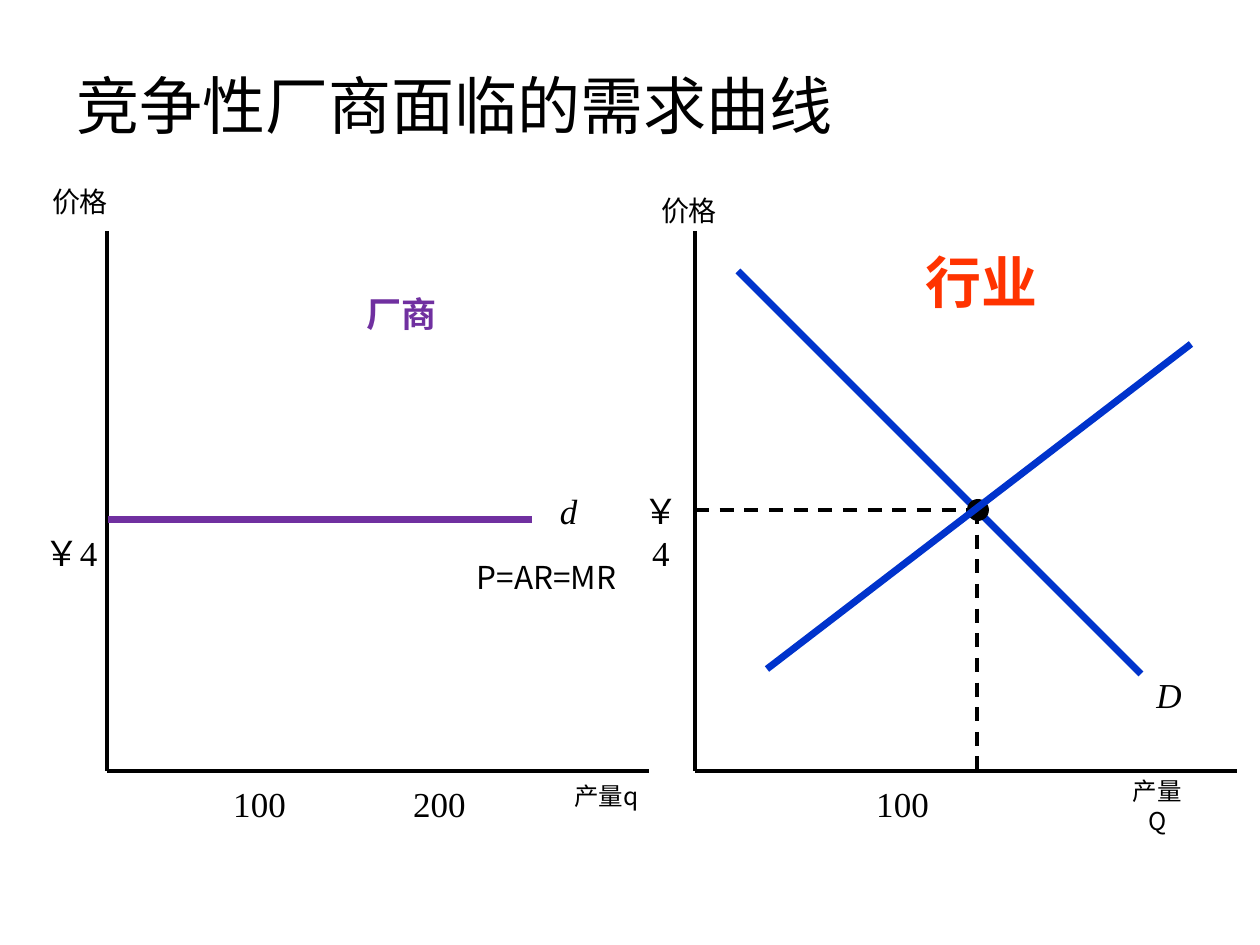
from pptx import Presentation
from pptx.dml.color import RGBColor
from pptx.enum.dml import MSO_LINE
from pptx.enum.shapes import MSO_CONNECTOR, MSO_SHAPE
from pptx.enum.text import MSO_ANCHOR, PP_ALIGN
from pptx.oxml.ns import qn
from pptx.util import Pt
from lxml.etree import SubElement

EMU_PER_PX = 914400 / 126
SANS, SERIF = "Noto Sans CJK SC", "Times New Roman"
BLACK, PURPLE, RED, BLUE = "000000", "7030A0", "FF3300", "0033CC"

TITLE = "竞争性厂商面临的需求曲线"
AXIS_TOP, AXIS_BOTTOM, AXIS_LENGTH = 231, 771, 542
FIRM_X, INDUSTRY_X = 107, 695
EQUILIBRIUM_X, EQUILIBRIUM_Y, DOT = 977, 510, 22

# text, (left, top, width, height), format
AXIS_TITLES = [
    ("产量q", (534, 775, 145, 42), dict(size=14)),
    ("价格", (25, 178, 110, 47), dict(size=16)),
    ("价格", (648, 187, 82, 45), dict(size=16)),
    ("产量Q", (1114, 770, 87, 42), dict(size=14)),
]
NUMBERS = [
    ("￥4", (25, 525, 92, 54), dict(wrap=False)),
    ("￥4", (624, 483, 74, 54), {}),
    ("100", (218, 776, 83, 54), {}),
    ("200", (398, 776, 83, 54), {}),
    ("100", (861, 776, 83, 54), {}),
]
CURVE_LABELS = [
    ("d", (545, 483, 47, 54), dict(font=SERIF, italic=True)),
    ("D", (1144, 667, 50, 54), dict(font=SERIF, italic=True)),
    ("P=AR=MR", (443, 552, 207, 50), dict(size=18)),
]
HEADINGS = [
    ("厂商", (354, 286, 96, 54), dict(color=PURPLE)),
    ("行业", (912, 241, 140, 81), dict(size=32, color=RED)),
]

# start, end, colour, width in points
FIRM_DEMAND = ((108, 520), (532, 520), PURPLE, 4)
INDUSTRY_DEMAND = ((738, 271), (1141, 674), BLUE, 4)
INDUSTRY_SUPPLY = ((767, 669), (1191, 344), BLUE, 4)


def px(length):
    return round(length * EMU_PER_PX)


def rgb(color):
    return RGBColor.from_string(color)


def add_text(text, box, size=20, font=SANS, color=BLACK, bold=False,
             italic=False, align=PP_ALIGN.CENTER, anchor=MSO_ANCHOR.TOP,
             wrap=True):
    frame = slide.shapes.add_textbox(*map(px, box)).text_frame
    frame.word_wrap = wrap
    frame.vertical_anchor = anchor
    paragraph = frame.paragraphs[0]
    paragraph.alignment = align
    run = paragraph.add_run()
    run.text = text
    run.font.size = Pt(size)
    run.font.name = font
    run.font.bold = bold
    run.font.italic = italic
    run.font.color.rgb = rgb(color)
    SubElement(run.font._element, qn("a:ea"), typeface=SANS)


def add_line(start, end, color=BLACK, width=2, dashed=False):
    line = slide.shapes.add_connector(
        MSO_CONNECTOR.STRAIGHT, *map(px, start + end))
    line.line.color.rgb = rgb(color)
    line.line.width = Pt(width)
    if dashed:
        line.line.dash_style = MSO_LINE.DASH
    SubElement(line._element.spPr, qn("a:effectLst"))


prs = Presentation()
prs.slide_width, prs.slide_height = px(1260), px(945)
slide = prs.slides.add_slide(prs.slide_layouts[6])

add_text(TITLE, (64, 45, 1134, 118), size=36, align=PP_ALIGN.LEFT,
         anchor=MSO_ANCHOR.MIDDLE)

for axis_x in (FIRM_X, INDUSTRY_X):
    add_line((axis_x, AXIS_TOP), (axis_x, AXIS_BOTTOM))
    add_line((axis_x, AXIS_BOTTOM), (axis_x + AXIS_LENGTH, AXIS_BOTTOM))

add_line(*FIRM_DEMAND)
add_line(*INDUSTRY_DEMAND)
for axis_point in ((INDUSTRY_X, EQUILIBRIUM_Y), (EQUILIBRIUM_X, AXIS_BOTTOM)):
    ends = sorted([axis_point, (EQUILIBRIUM_X, EQUILIBRIUM_Y)])
    add_line(*ends, dashed=True)

dot = slide.shapes.add_shape(
    MSO_SHAPE.OVAL, px(EQUILIBRIUM_X + 1 - DOT / 2),
    px(EQUILIBRIUM_Y - DOT / 2), px(DOT), px(DOT))
dot.shadow.inherit = False
dot.fill.solid()
dot.fill.fore_color.rgb = rgb(BLACK)
dot.line.fill.background()
add_line(*INDUSTRY_SUPPLY)

for text, box, style in AXIS_TITLES + CURVE_LABELS:
    add_text(text, box, **style)
for text, box, style in NUMBERS:
    add_text(text, box, font=SERIF, **style)
for text, box, style in HEADINGS:
    add_text(text, box, font=SERIF, bold=True, **style)

prs.save("out.pptx")
